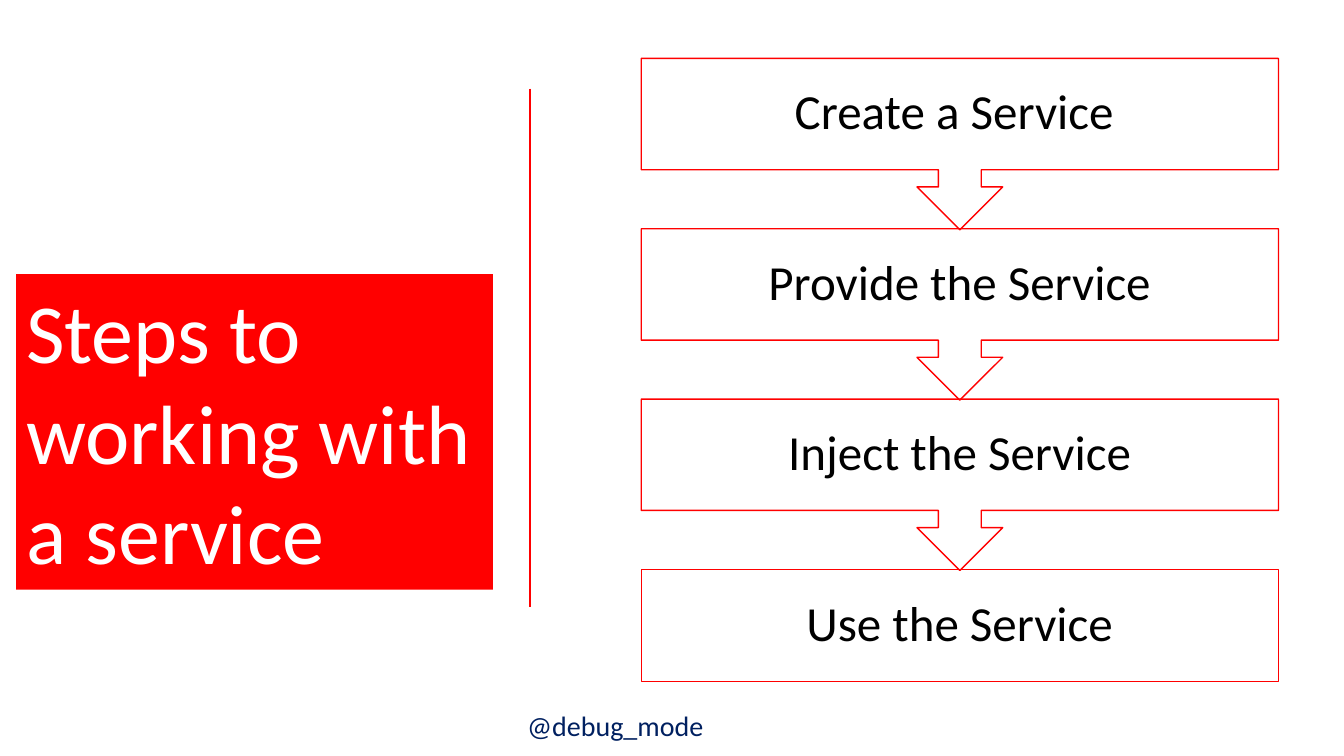
from lxml import etree
from pptx import Presentation
from pptx.dml.color import RGBColor
from pptx.enum.shapes import MSO_CONNECTOR, MSO_SHAPE
from pptx.enum.text import MSO_ANCHOR, MSO_AUTO_SIZE, PP_ALIGN
from pptx.oxml.ns import qn
from pptx.util import Inches, Pt

COLORS = {"red": "FF0000", "white": "FFFFFF", "navy": "002060", "black": "000000"}
FONT = "Calibri"
STEPS = ["Create a Service ", "Provide the Service", "Inject the Service", "Use the Service"]


def color(name):
    return RGBColor.from_string(COLORS[name])


def format_text(shape, text, size, color_name, align=PP_ALIGN.LEFT, anchor=MSO_ANCHOR.TOP):
    frame = shape.text_frame
    frame.text = text
    frame.word_wrap = True
    frame.auto_size = MSO_AUTO_SIZE.NONE
    frame.vertical_anchor = anchor
    paragraph = frame.paragraphs[0]
    paragraph.alignment = align
    paragraph.font.name = FONT
    paragraph.font.size = Pt(size)
    paragraph.font.color.rgb = color(color_name)
    return frame


def place_title(slide, left, top, width, height):
    title = slide.shapes.title
    title.left, title.top = Inches(left), Inches(top)
    title.width, title.height = Inches(width), Inches(height)
    title.fill.solid()
    title.fill.fore_color.rgb = color("red")
    format_text(title, "Steps to working with a service", 60, "white")


def add_divider(slide, x, top, height):
    line = slide.shapes.add_connector(
        MSO_CONNECTOR.STRAIGHT, Inches(x), Inches(top), Inches(x), Inches(top + height))
    line.line.color.rgb = color("red")
    line.line.width = Pt(1.25)
    etree.SubElement(line._element.spPr, qn("a:effectLst"))


def add_handle(slide, left, top, width, height):
    box = slide.shapes.add_textbox(Inches(left), Inches(top), Inches(width), Inches(height))
    format_text(box, "@debug_mode", 20, "navy")


def add_steps(slide, left, top, width, height):
    """Stack the steps evenly; every step but the last points to the next."""
    body_height = 1.11
    pitch = (height - body_height) / (len(STEPS) - 1)
    # Bottom step first, so each arrow tip lies over the box below it
    for index, text in reversed(list(enumerate(STEPS))):
        is_last = index == len(STEPS) - 1
        kind = MSO_SHAPE.RECTANGLE if is_last else MSO_SHAPE.DOWN_ARROW_CALLOUT
        step_height = body_height if is_last else pitch + 0.01
        step = slide.shapes.add_shape(
            kind, Inches(left), Inches(top + index * pitch), Inches(width), Inches(step_height))
        step.shadow.inherit = False
        step.fill.background()
        step.line.color.rgb = color("red")
        step.line.width = Pt(1)
        frame = format_text(step, text, 35, "black", PP_ALIGN.CENTER, MSO_ANCHOR.MIDDLE)
        frame.margin_left = frame.margin_right = Inches(0.27)
        frame.margin_top = frame.margin_bottom = Inches(0.27)
        frame.paragraphs[0].line_spacing = 0.9


def main():
    presentation = Presentation()
    presentation.slide_width, presentation.slide_height = Inches(13.33), Inches(7.5)
    title_only = presentation.slide_layouts[5]
    slide = presentation.slides.add_slide(title_only)

    # Left: title and divider
    place_title(slide, 0.16, 2.72, 4.73, 3.13)
    add_divider(slide, 5.26, 0.88, 5.14)
    # Bottom: author handle
    add_handle(slide, 5.13, 6.98, 3.9, 0.44)
    # Right: flow of steps
    add_steps(slide, 6.36, 0.58, 6.32, 6.18)

    presentation.save("out.pptx")


if __name__ == "__main__":
    main()
